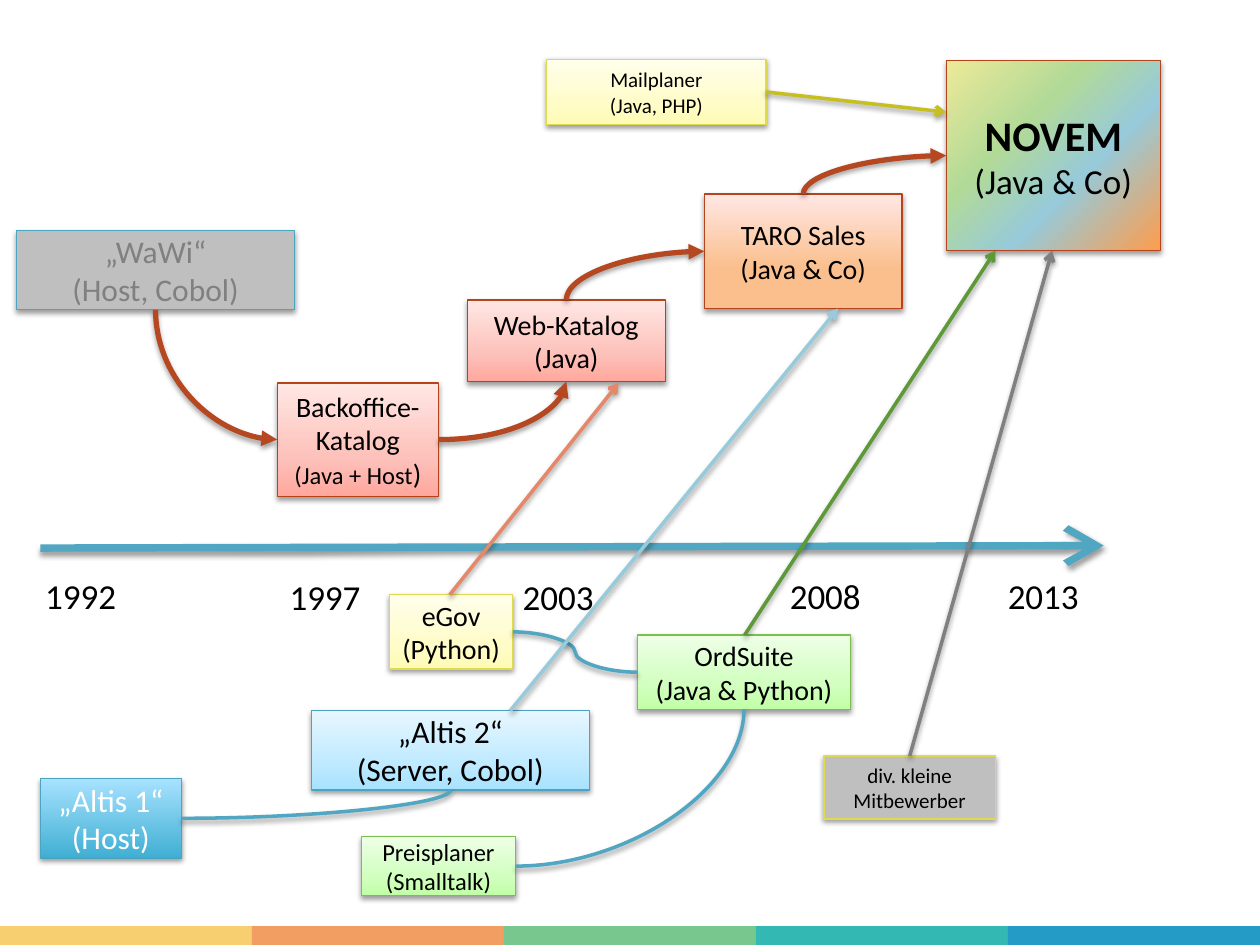
from lxml.etree import SubElement
from pptx import Presentation
from pptx.dml.color import RGBColor
from pptx.enum.shapes import MSO_CONNECTOR, MSO_SHAPE
from pptx.enum.text import MSO_ANCHOR, PP_ALIGN
from pptx.oxml import parse_xml
from pptx.oxml.ns import nsdecls, qn
from pptx.util import Inches, Pt

COLORS = {
    "black": "000000", "white": "FFFFFF", "gray": "BFBFBF", "dark_gray": "808080",
    "blue": "4CA4C0", "axis": "51A6C2", "red": "B5441D", "arrow_red": "B54721",
    "green": "7BC04C", "dark_green": "5D9936", "yellow": "E0DA4E", "olive": "C5BF22",
    "salmon": "E48869", "sky": "97CADA",
}
STRIPES = ["F7CF70", "F29D62", "78C78F", "34B8B4", "239BC6"]
GRADIENTS = {
    "deep_blue": (270, [(0, "40AFD3"), (100, "A7E2FF")]),
    "light_blue": (270, [(0, "A7E2FF"), (35, "C0EAFF"), (100, "E7F7FF")]),
    "pink": (270, [(0, "FFA79D"), (35, "FDC2BB"), (100, "FFE7E4")]),
    "cream": (270, [(0, "FFFBB4"), (35, "FFFCCA"), (100, "FFFEEB")]),
    "mint": (270, [(0, "C1FFA7"), (35, "D2FFC0"), (100, "EEFFE7")]),
    "peach": (270, [(0, "FBBF8D"), (35, "FBBF8D"), (100, "FFE7E4")]),
    "rainbow": (225, [(2, "F99F54"), (38, "97CADA"), (65, "B2DA97"), (100, "EDEA98")]),
}
TOP, LEFT, BOTTOM, RIGHT = range(4)

BOXES = {
    "altis1": (0.32, 6.18, 1.12, 0.63, "deep_blue", "blue", 18, ["„Altis 1“", "(Host)"], "white"),
    "altis2": (2.47, 5.64, 2.21, 0.63, "light_blue", "blue", 18, ["„Altis 2“", "(Server, Cobol)"], "black"),
    "backoffice": (2.2, 3.04, 1.28, 0.9, "pink", "red", 16,
                   ["Backoffice-Katalog", [("(Java + Host", 14), (")", 16)]], "black"),
    "egov": (3.09, 4.72, 0.98, 0.59, "cream", "yellow", 16, ["eGov", "(Python)"], "black"),
    "web": (3.71, 2.38, 1.57, 0.65, "pink", "red", 16, ["Web-Katalog", "(Java)"], "black"),
    "pricing": (2.87, 6.64, 1.22, 0.47, "mint", "green", 14, ["Preisplaner", "(Smalltalk)"], "black"),
    "suite": (5.06, 5.04, 1.69, 0.59, "mint", "green", 16, ["OrdSuite", "(Java & Python)"], "black"),
    "sales": (5.59, 1.54, 1.57, 0.91, "peach", "red", 16, ["TARO Sales", "(Java & Co)"], "black"),
    "target": (7.51, 0.48, 1.7, 1.51, "rainbow", "red", 20,
               [[("NOVEM", 24, True)], "(Java & Co)"], "black"),
    "campaign": (4.34, 0.47, 1.74, 0.52, "cream", "yellow", 12, ["Mailplaner", "(Java, PHP)"], "black"),
    "rivals": (6.54, 6, 1.36, 0.5, "gray", "yellow", 12, ["div. kleine", "Mitbewerber"], "black"),
    "wawi": (0.13, 1.83, 2.21, 0.63, "gray", "blue", 18, ["„WaWi“", "(Host, Cobol)"], "dark_gray"),
}
CURVES = [
    ("altis1", RIGHT, "altis2", BOTTOM, 2, "axis", None),
    ("egov", RIGHT, "suite", LEFT, 2, "axis", None),
    ("pricing", RIGHT, "suite", BOTTOM, 2, "axis", None),
    ("backoffice", RIGHT, "web", BOTTOM, 3, "arrow_red", "tailEnd"),
    ("sales", LEFT, "web", TOP, 3, "arrow_red", "headEnd"),
    ("target", LEFT, "sales", TOP, 3, "arrow_red", "headEnd"),
    ("backoffice", LEFT, "wawi", BOTTOM, 3, "arrow_red", "headEnd"),
]
ARROWS = [
    (3.57, 4.72, 4.91, 3.04, "salmon"),
    (5.91, 5.04, 7.9, 1.99, "dark_green"),
    (4.05, 5.64, 6.65, 2.45, "sky"),
    (6.08, 0.73, 7.51, 0.89, "olive"),
    (7.22, 6, 8.35, 1.99, "dark_gray"),
]
YEARS = [("1992", 0.26, 4.51), ("1997", 2.2, 4.52), ("2003", 4.05, 4.52),
         ("2008", 6.17, 4.51), ("2013", 7.9, 4.51)]


def rgb(name):
    """Return the colour for a name or a hex string."""
    return RGBColor.from_string(COLORS.get(name, name))


def write(tf, lines, size, color="black", align=PP_ALIGN.LEFT):
    """Write one paragraph per line; a line is a string or a list of runs."""
    for i, line in enumerate(lines):
        p = tf.paragraphs[0] if i == 0 else tf.add_paragraph()
        p.alignment = align
        for text, run_size, *bold in [(line, size)] if isinstance(line, str) else line:
            r = p.add_run()
            r.text = text
            r.font.name = "Calibri"
            r.font.size = Pt(run_size)
            r.font.bold = bool(bold)
            r.font.color.rgb = rgb(color)


def add_shadow(sp):
    """Give a shape or connector a soft shadow below it."""
    sp._element.spPr.append(parse_xml(
        f'<a:effectLst {nsdecls("a")}><a:outerShdw blurRad="{Pt(3.1)}" dist="{Pt(1.6)}" '
        'dir="5400000" rotWithShape="0"><a:srgbClr val="000000"><a:alpha val="38000"/>'
        '</a:srgbClr></a:outerShdw></a:effectLst>'))


def set_gradient(sp, angle, stops):
    """Fill a shape with a linear gradient."""
    gs = "".join(f'<a:gs pos="{pos * 1000}"><a:srgbClr val="{color}"/></a:gs>' for pos, color in stops)
    sp._element.spPr.find(qn("a:prstGeom")).addnext(parse_xml(
        f'<a:gradFill {nsdecls("a")} rotWithShape="1"><a:gsLst>{gs}</a:gsLst>'
        f'<a:lin ang="{angle * 60000}" scaled="0"/></a:gradFill>'))


def add_box(s, x, y, w, h, fill, line, size, lines, color):
    """Add a labelled system box."""
    sp = s.shapes.add_shape(MSO_SHAPE.RECTANGLE, Inches(x), Inches(y), Inches(w), Inches(h))
    if fill in GRADIENTS:
        set_gradient(sp, *GRADIENTS[fill])
    else:
        sp.fill.solid()
        sp.fill.fore_color.rgb = rgb(fill)
    sp.line.color.rgb = rgb(line)
    sp.line.width = Pt(0.75)
    add_shadow(sp)
    tf = sp.text_frame
    tf.vertical_anchor = MSO_ANCHOR.MIDDLE
    tf.margin_left = tf.margin_right = Inches(0.05)
    write(tf, lines, size, color, PP_ALIGN.CENTER)
    return sp


def style_line(cn, color, width, end=None, head="arrow", head_size="med"):
    """Set colour, width, arrowhead and shadow of a connector."""
    cn.line.color.rgb = rgb(color)
    cn.line.width = Pt(width)
    if end:
        SubElement(cn.line._get_or_add_ln(), qn(f"a:{end}"), type=head, w=head_size, len=head_size)
    add_shadow(cn)


def add_arrow(s, x1, y1, x2, y2, color, width=2, head_size="med"):
    """Add a straight arrow."""
    cn = s.shapes.add_connector(MSO_CONNECTOR.STRAIGHT, Inches(x1), Inches(y1), Inches(x2), Inches(y2))
    style_line(cn, color, width, "tailEnd", head_size=head_size)


def add_curve(s, start, start_site, stop, stop_site, width, color, end):
    """Join two boxes with a curve that leaves the first one sideways."""
    cn = s.shapes.add_connector(MSO_CONNECTOR.CURVE, 0, 0, 0, 0)
    cn.begin_connect(start, start_site)
    cn.end_connect(stop, stop_site)
    if stop_site in (TOP, BOTTOM):
        cn._element.spPr.find(qn("a:prstGeom")).set("prst", "curvedConnector2")
    style_line(cn, color, width, end, "triangle")


def add_stripes(s, y, width, height):
    """Add the coloured band along the foot of the slide."""
    w = width / len(STRIPES)
    for i, color in enumerate(STRIPES):
        sp = s.shapes.add_shape(MSO_SHAPE.RECTANGLE, Inches(i * w), Inches(y), Inches(w), Inches(height))
        sp.shadow.inherit = False
        sp.fill.solid()
        sp.fill.fore_color.rgb = rgb(color)
        sp.line.fill.background()


def add_timeline(s):
    """Add the time axis and its years."""
    add_arrow(s, 0.32, 4.35, 8.76, 4.33, "axis", 4.25, "lg")
    for year, x, y in YEARS:
        tb = s.shapes.add_textbox(Inches(x), Inches(y), Inches(0.77), Inches(0.44))
        tb.text_frame.word_wrap = False
        write(tb.text_frame, [year], 20)


def add_systems(s):
    """Add the system boxes and the links between them."""
    boxes = {name: add_box(s, *box) for name, box in BOXES.items()}
    for start, start_site, stop, stop_site, *style in CURVES:
        add_curve(s, boxes[start], start_site, boxes[stop], stop_site, *style)
    for arrow in ARROWS:
        add_arrow(s, *arrow)


prs = Presentation()
prs.slide_width, prs.slide_height = Inches(10), Inches(7.5)
s = prs.slides.add_slide(prs.slide_layouts[6])
add_stripes(s, 7.35, 10, 0.17)
add_timeline(s)
add_systems(s)
prs.save("out.pptx")
